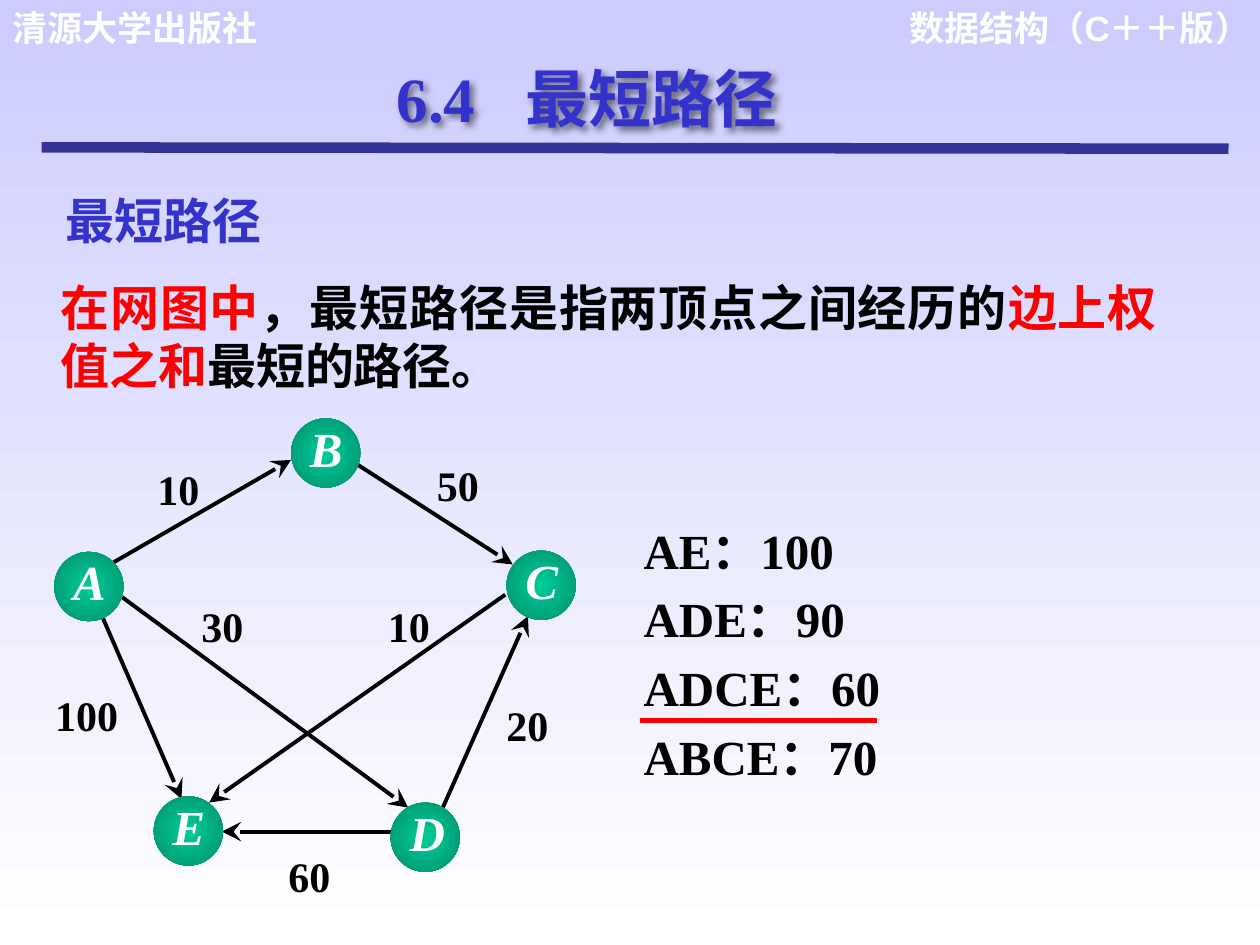
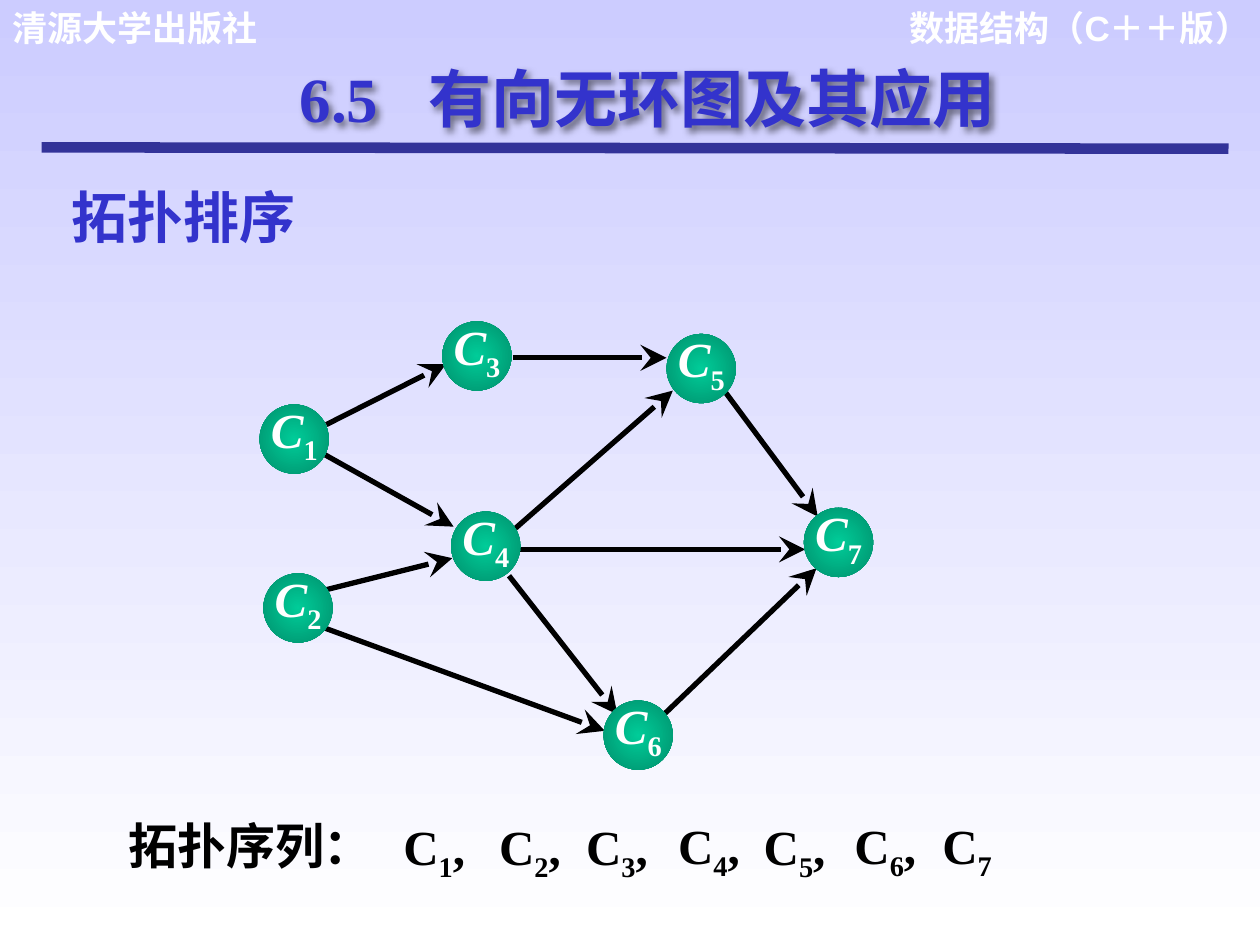
"""Build two slides on shortest paths and topological sorting of graphs."""
import pptx
import pptx.dml.color
import pptx.enum.shapes
import pptx.enum.text
import pptx.oxml
import pptx.oxml.ns
import pptx.util

Inches = pptx.util.Inches
Pt = pptx.util.Pt
ALIGN = pptx.enum.text.PP_ALIGN
NS = pptx.oxml.ns.nsdecls("a")
COLORS = {
    "sky": "CCCCFF", "white": "FFFFFF", "black": "000000", "red": "FF0000",
    "title": "3333CC", "rule": "333399", "node": "00CC99", "node_edge": "008F6B",
}
RGB = {name: pptx.dml.color.RGBColor.from_string(c) for name, c in COLORS.items()}
SERIF = "Times New Roman"
NODE_SIZE = 0.55


def add_text(slide, box, paragraphs, size, color="black", font=SERIF, align=ALIGN.LEFT,
             insets=(0.1, 0.05, 0.1, 0.05), space=0):
    """Add a bold text box; each run is (text, options)."""
    sp = slide.shapes.add_textbox(*map(Inches, box))
    tf = sp.text_frame
    tf.word_wrap = True
    tf.margin_left, tf.margin_top, tf.margin_right, tf.margin_bottom = map(Inches, insets)
    for i, runs in enumerate(paragraphs):
        p = tf.add_paragraph() if i else tf.paragraphs[0]
        p.alignment = align
        if i and space:
            p.space_before = Pt(space)
        for text, opts in runs:
            r = p.add_run()
            r.text = text
            r.font.size = Pt(size)
            r.font.bold = True
            r.font.italic = opts.get("italic", False)
            r.font.name = opts.get("font", font)
            r.font.color.rgb = RGB[opts.get("color", color)]
            if opts.get("sub"):
                r.font._element.set("baseline", "-25000")
    return sp


def add_line(slide, start, end, color, width, arrow=False):
    """Add a straight line, with an arrowhead at its end if asked."""
    line = slide.shapes.add_connector(
        pptx.enum.shapes.MSO_CONNECTOR.STRAIGHT, *map(Inches, (*start, *end)))
    line.line.color.rgb = RGB[color]
    line.line.width = Pt(width)
    if arrow:
        line.line._get_or_add_ln().append(pptx.oxml.parse_xml(
            f'<a:tailEnd {NS} type="stealth" w="lg" len="lg"/>'))
    line._element.spPr.append(pptx.oxml.parse_xml(f"<a:effectLst {NS}/>"))


prs = pptx.Presentation()
prs.slide_width, prs.slide_height = Inches(10), Inches(7.5)
fill = prs.slide_master.background.fill
fill.gradient()
fill.gradient_angle = 270
for stop, color, position in zip(fill.gradient_stops, ("sky", "white"), (0, 1)):
    stop.color.rgb = RGB[color]
    stop.position = position

SUB = {"sub": True}
graphs = [
    {
        "title": ("6.4", "最短路径"), "title_box": (3.05, 0.42, 4.09, 0.7),
        "heading": "最短路径", "heading_box": (0.42, 1.46, 5.75, 0.57), "heading_size": 28,
        "line_width": 2.25, "insets": (0.08, 0.06, 0, 0.01),
        "edges": [
            ((0.89, 4.47), (2.31, 3.65)), ((3.11, 6.6), (1.76, 6.6)),
            ((4.01, 4.72), (1.66, 6.37)), ((2.81, 3.67), (4.07, 4.48)),
            ((0.97, 4.74), (3.24, 6.41)), ((3.51, 6.42), (4.19, 4.89)),
            ((0.81, 4.89), (1.44, 6.34)),
        ],
        "nodes": {"B": (2.31, 3.32), "A": (0.43, 4.38), "E": (1.22, 6.32),
                  "D": (3.1, 6.37), "C": (4.02, 4.37)},
    },
    {
        "title": ("6.5", "有向无环图及其应用"), "title_box": (2.28, 0.42, 5.8, 0.7),
        "heading": "拓扑排序", "heading_box": (0.47, 1.4, 6.51, 0.63), "heading_size": 32,
        "line_width": 3, "insets": (0.02, 0.02, 0, 0.01),
        "edges": [
            ((2.59, 3.37), (3.54, 2.89)), ((2.58, 3.61), (3.6, 4.18)),
            ((2.51, 4.96), (4.8, 5.8)), ((2.59, 4.68), (3.59, 4.43)),
            ((4.07, 2.84), (5.29, 2.84)), ((4.06, 4.22), (5.34, 3.1)),
            ((4.04, 4.57), (4.9, 5.67)), ((4.09, 4.36), (6.39, 4.36)),
            ((5.27, 5.67), (6.48, 4.51)), ((5.74, 3.09), (6.49, 4.1)),
        ],
        "nodes": {"C1": (2.06, 3.21), "C2": (2.09, 4.55), "C3": (3.51, 2.55),
                  "C4": (3.58, 4.06), "C6": (4.79, 5.56), "C5": (5.29, 2.65),
                  "C7": (6.38, 4.03)},
    },
]

for graph in graphs:
    s = prs.slides.add_slide(prs.slide_layouts[6])
    add_text(s, (7, 0, 3.02, 0.43), [[("数据结构（C＋＋版）", {})]], 20, "white", "Arial", ALIGN.RIGHT)
    add_text(s, (0, 0, 2.71, 0.43), [[("清源大学出版社", {})]], 20, "white", "Arial")
    add_line(s, (0.33, 1.17), (9.75, 1.18), "rule", 6)

    title = add_text(s, graph["title_box"], [[("\t".join(graph["title"]), {})]], 36, "title")
    title.text_frame.paragraphs[0]._p.get_or_add_pPr().append(pptx.oxml.parse_xml(
        f'<a:tabLst {NS}><a:tab pos="{Inches(1.02)}" algn="l"/></a:tabLst>'))
    title._element.spPr.append(pptx.oxml.parse_xml(
        f'<a:effectLst {NS}><a:outerShdw blurRad="{Pt(4)}" dist="{Pt(3)}" dir="2700000">'
        '<a:srgbClr val="000000"><a:alpha val="50000"/></a:srgbClr></a:outerShdw></a:effectLst>'))
    add_text(s, graph["heading_box"], [[(graph["heading"], {})]], graph["heading_size"], "title")

    for start, end in graph["edges"]:
        add_line(s, start, end, "black", graph["line_width"], arrow=True)
    for name, (x, y) in graph["nodes"].items():
        sp = s.shapes.add_shape(pptx.enum.shapes.MSO_SHAPE.OVAL,
                                *map(Inches, (x, y, NODE_SIZE, NODE_SIZE)))
        sp.shadow.inherit = False
        sp.line.fill.background()
        sp.fill.gradient()
        for stop, color, position in zip(sp.fill.gradient_stops, ("node", "node_edge"), (0, 1)):
            stop.color.rgb = RGB[color]
            stop.position = position
        lin = sp._element.spPr.find(".//" + pptx.oxml.ns.qn("a:lin"))
        lin.getparent().replace(lin, pptx.oxml.parse_xml(
            f'<a:path {NS} path="circle"><a:fillToRect l="50000" t="50000" r="50000" b="50000"/></a:path>'))
        runs = [(name[0], {"italic": True})]
        if name[1:]:
            runs.append((name[1:], SUB))
        add_text(s, (x + 0.07, y - 0.06, 0.51, 0.65), [runs], 28, "white",
                 align=ALIGN.JUSTIFY, insets=graph["insets"])

path_slide, topo_slide = prs.slides

definition = [
    ("在网图中", {"color": "red"}),
    ("，最短路径", {}),
    ("是指两顶点之间经历的", {"font": "Arial"}),
    ("边上权值之和", {"font": "Arial", "color": "red"}),
    ("最短的路径。", {"font": "Arial"}),
]
add_text(path_slide, (0.48, 2.15, 8.7, 1.03), [definition], 28,
         align=ALIGN.JUSTIFY, insets=(0, 0.05, 0, 0.05))
weights = [("10", 1.15, 3.63), ("50", 3.37, 3.6), ("30", 1.5, 4.72), ("10", 2.98, 4.72),
           ("100", 0.34, 5.42), ("20", 3.92, 5.5), ("60", 2.19, 6.7)]
for weight, x, y in weights:
    add_text(path_slide, (x, y, 0.2 + 0.2 * len(weight), 0.5), [[(weight, {})]], 24)
routes = ["AE：100", "ADE：90", "ADCE：60", "ABCE：70"]
add_text(path_slide, (5.01, 4.08, 4.1, 2.25), [[(route, {})] for route in routes], 28, space=5.6)
add_line(path_slide, (5.08, 5.72), (6.96, 5.72), "red", 3)

add_text(topo_slide, (0.92, 6.42, 2.4, 0.57), [[("拓扑序列：", {})]], 28)
sequence = [(3.09, 6.43), (3.85, 6.43), (4.54, 6.43), (5.27, 6.42),
            (5.95, 6.43), (6.67, 6.42), (7.32, 6.42)]
for number, (x, y) in enumerate(sequence, 1):
    last = number == len(sequence)
    runs = [("C", {}), (str(number), SUB)]
    if not last:
        runs.append((", ", {}))
    add_text(topo_slide, (x, y, 0.71 if last else 0.81, 0.57), [runs], 28, align=ALIGN.CENTER)

prs.save("out.pptx")
